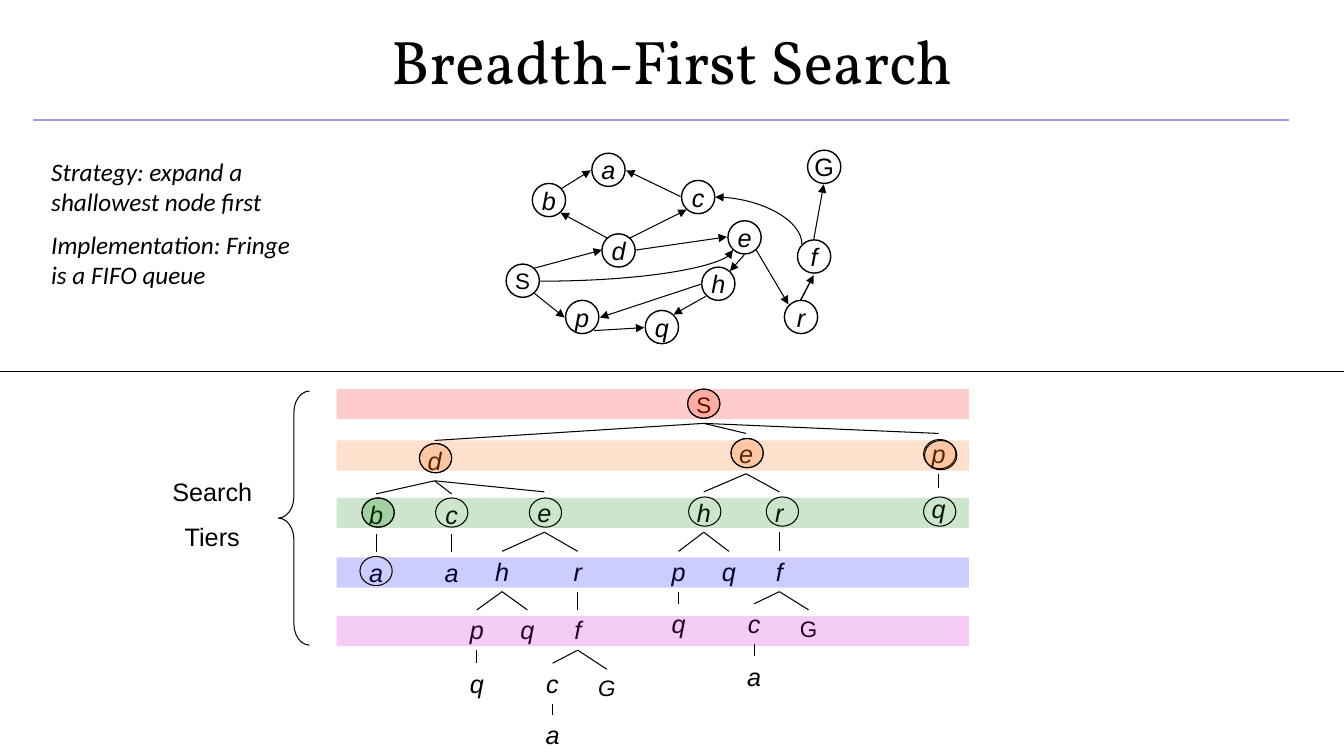
import pptx
import pptx.util
import pptx.dml.color
import pptx.enum.shapes
import pptx.enum.text
import pptx.oxml.ns
from lxml import etree

Inches = pptx.util.Inches
Pt = pptx.util.Pt
SHAPE = pptx.enum.shapes.MSO_SHAPE
CONNECTOR = pptx.enum.shapes.MSO_CONNECTOR
ANCHOR = pptx.enum.text.MSO_ANCHOR
ALIGN = pptx.enum.text.PP_ALIGN
qn = pptx.oxml.ns.qn

COLORS = {
    "ink": "000000", "rule": "9C9CDF", "root": "FF3300", "red": "FF0000",
    "orange": "FF6600", "green": "008000", "blue": "0000FF", "violet": "CC00CC",
}


def write(box, text, size=18, font="Arial", italic=False, align=ALIGN.CENTER,
          anchor=ANCHOR.TOP, wrap=True, gap=0):
    frame = box.text_frame
    frame.word_wrap = wrap
    frame.vertical_anchor = anchor
    for index, line in enumerate(text.split("\n")):
        para = frame.add_paragraph() if index else frame.paragraphs[0]
        para.alignment = align
        if index:
            para.space_before = Pt(gap)
        span = para.add_run()
        span.text = line
        span.font.size = Pt(size)
        span.font.name = font
        span.font.italic = italic
        span.font.color.rgb = pptx.dml.color.RGBColor.from_string(COLORS["ink"])


def draw_line(x1, y1, x2, y2, color="ink", width=0.75, arrow=False, kind=CONNECTOR.STRAIGHT):
    line = page.shapes.add_connector(kind, Inches(x1), Inches(y1), Inches(x2), Inches(y2))
    line.line.width = Pt(width)
    line.line.color.rgb = pptx.dml.color.RGBColor.from_string(COLORS[color])
    properties = line.element.spPr
    if arrow:
        etree.SubElement(properties.find(qn("a:ln")), qn("a:tailEnd"), type="triangle")
    etree.SubElement(properties, qn("a:effectLst"))
    return line


deck = pptx.Presentation()
deck.slide_width = Inches(13.33)
deck.slide_height = Inches(7.5)
page = deck.slides.add_slide(deck.slide_layouts[5])

draw_line(0.33, 1.19, 12.78, 1.19, color="rule", width=1)
title = page.shapes.title
title.left, title.top = Inches(0), Inches(-0.03)
title.width, title.height = Inches(13.33), Inches(1.25)
write(title, "Breadth-First Search", size=44, font="Vollkorn", anchor=ANCHOR.MIDDLE)

# name: label, centre, top, parent
tree = {
    "S": (6.98, 3.83, None),
    "d": (4.31, 4.37, "S"), "e": (7.4, 4.3, "S"), "p": (9.31, 4.3, "S"),
    "b": (3.73, 4.9, "d"), "c": (4.48, 4.9, "d"), "e in d": (5.4, 4.88, "d"),
    "h": (6.98, 4.88, "e"), "r": (7.73, 4.88, "e"), "q": (9.31, 4.84, "p"),
    "a in b": (3.73, 5.48, "b"), "a in c": (4.48, 5.48, "c"),
    "h in d": (4.98, 5.47, "e in d"), "r in d": (5.73, 5.47, "e in d"),
    "p in h": (6.73, 5.47, "h"), "q in h": (7.23, 5.47, "h"), "f": (7.73, 5.47, "r"),
    "p in d": (4.73, 6.05, "h in d"), "q in d": (5.23, 6.05, "h in d"),
    "f in d": (5.73, 6.05, "r in d"), "q in p": (6.73, 5.99, "p in h"),
    "c in f": (7.48, 5.99, "f"), "G": (8.02, 6.05, "f"),
    "q in d, p": (4.73, 6.58, "p in d"), "c in d": (5.48, 6.58, "f in d"),
    "G in d": (6.02, 6.64, "f in d"), "a in f": (7.48, 6.51, "c in f"),
    "a in d": (5.48, 7.09, "c in d"),
}
for name, (center, top, parent) in tree.items():
    label = name[0]
    width = {"S": 1.08, "G": 0.83}.get(label, 0.42)
    height = 0.37 if label in "SG" else 0.4
    box = page.shapes.add_textbox(Inches(center - width / 2), Inches(top), Inches(width), Inches(height))
    write(box, label, size=16 if label in "SG" else 18, italic=name not in ("S", "G"))
    if parent:
        parent_center, parent_top, _ = tree[parent]
        parent_height = 0.37 if parent == "S" else 0.4
        draw_line(parent_center, parent_top + parent_height, center, top)

graph_nodes = {
    "S": (5.02, 2.62), "G": (8.01, 1.49), "d": (5.97, 2.32), "b": (5.28, 1.82),
    "p": (5.61, 2.98), "q": (6.4, 3.08), "c": (6.76, 1.79), "e": (7.22, 2.19),
    "h": (6.96, 2.65), "a": (5.87, 1.52), "f": (7.91, 2.38), "r": (7.78, 2.98),
}
for label, (left, top) in graph_nodes.items():
    node = page.shapes.add_shape(SHAPE.FLOWCHART_CONNECTOR, Inches(left), Inches(top), Inches(0.33), Inches(0.33))
    node.shadow.inherit = False
    node.fill.background()
    node.line.width = Pt(1)
    node.line.color.rgb = pptx.dml.color.RGBColor.from_string(COLORS["ink"])
    write(node, label, size=16 if label == "S" else 18, italic=label not in "SG",
          anchor=ANCHOR.MIDDLE, wrap=False)

graph_arrows = [
    (5.3, 2.91, 5.6, 3.15), (5.89, 3.28, 6.39, 3.25), (7, 2.94, 6.68, 3.12),
    (6.95, 2.82, 5.95, 3.15), (7.38, 2.53, 7.24, 2.69), (7.5, 2.48, 7.82, 3.02),
    (8.07, 2.38, 8.17, 1.83), (5.3, 2.66, 5.97, 2.48), (6.02, 2.36, 5.56, 2.11),
    (5.57, 1.87, 5.86, 1.69), (6.75, 1.95, 6.21, 1.69), (6.25, 2.36, 6.81, 2.08),
    (6.31, 2.48, 7.21, 2.35),
]
for ends in graph_arrows:
    draw_line(*ends, arrow=True)
draw_line(7.94, 2.98, 8.07, 2.73, width=1, arrow=True)

curves = [
    ((7.29, 1.76, 7.76, 2.62), {"rot": "5400000", "flipH": "1"}),
    ((5.36, 2.48, 7.27, 2.79), {"flipV": "1"}),
]
for corners, turns in curves:
    curve = draw_line(*corners, arrow=True, kind=CONNECTOR.CURVE)
    curve.element.spPr.find(qn("a:prstGeom")).set("prst", "curvedConnector2")
    for key, value in turns.items():
        curve.element.spPr.find(qn("a:xfrm")).set(key, value)

bands = [(3.86, "red"), (4.37, "orange"), (4.94, "green"), (5.53, "blue"), (6.11, "violet")]
rings = [
    (6.82, 3.86, "root"), (6.82, 3.86, None), (4.16, 4.4, None), (7.25, 4.35, None),
    (9.16, 4.36, None), (3.59, 4.94, None), (4.32, 4.94, None), (5.25, 4.94, None),
    (6.83, 4.93, None), (7.6, 4.93, None), (9.16, 4.93, None), (3.57, 5.52, None),
    (4.16, 4.4, "orange"), (7.25, 4.35, "orange"), (9.17, 4.37, "orange"),
    (3.59, 4.94, "green"),
]
marks = [(SHAPE.RECTANGLE, 3.34, top, 6.27, 0.3, color) for top, color in bands]
marks.append((SHAPE.LEFT_BRACE, 2.76, 3.88, 0.31, 2.52, None))
marks += [(SHAPE.OVAL, left, top, 0.32, 0.29, color) for left, top, color in rings]
for kind, left, top, width, height, color in marks:
    mark = page.shapes.add_shape(kind, Inches(left), Inches(top), Inches(width), Inches(height))
    mark.shadow.inherit = False
    if color:
        mark.fill.solid()
        mark.fill.fore_color.rgb = pptx.dml.color.RGBColor.from_string(COLORS[color])
        etree.SubElement(mark.element.spPr.find(qn("a:solidFill"))[0], qn("a:alpha"), val="20000")
    else:
        mark.fill.background()
    if kind == SHAPE.RECTANGLE:
        mark.line.fill.background()
    else:
        mark.line.width = Pt(0.75)
        mark.line.color.rgb = pptx.dml.color.RGBColor.from_string(COLORS["ink"])
    if kind == SHAPE.LEFT_BRACE:
        mark.adjustments[0] = 0.68

tiers = page.shapes.add_textbox(Inches(1.58), Inches(4.68), Inches(1.05), Inches(0.86))
write(tiers, "Search\nTiers", gap=10)
draw_line(0, 3.69, 13.33, 3.69)
strategy = page.shapes.add_textbox(Inches(0.41), Inches(1.5), Inches(2.59), Inches(1.46))
write(strategy, "Strategy: expand a shallowest node first\nImplementation: Fringe is a FIFO queue",
      font="Calibri", italic=True, align=ALIGN.LEFT, gap=9)

deck.save("out.pptx")
